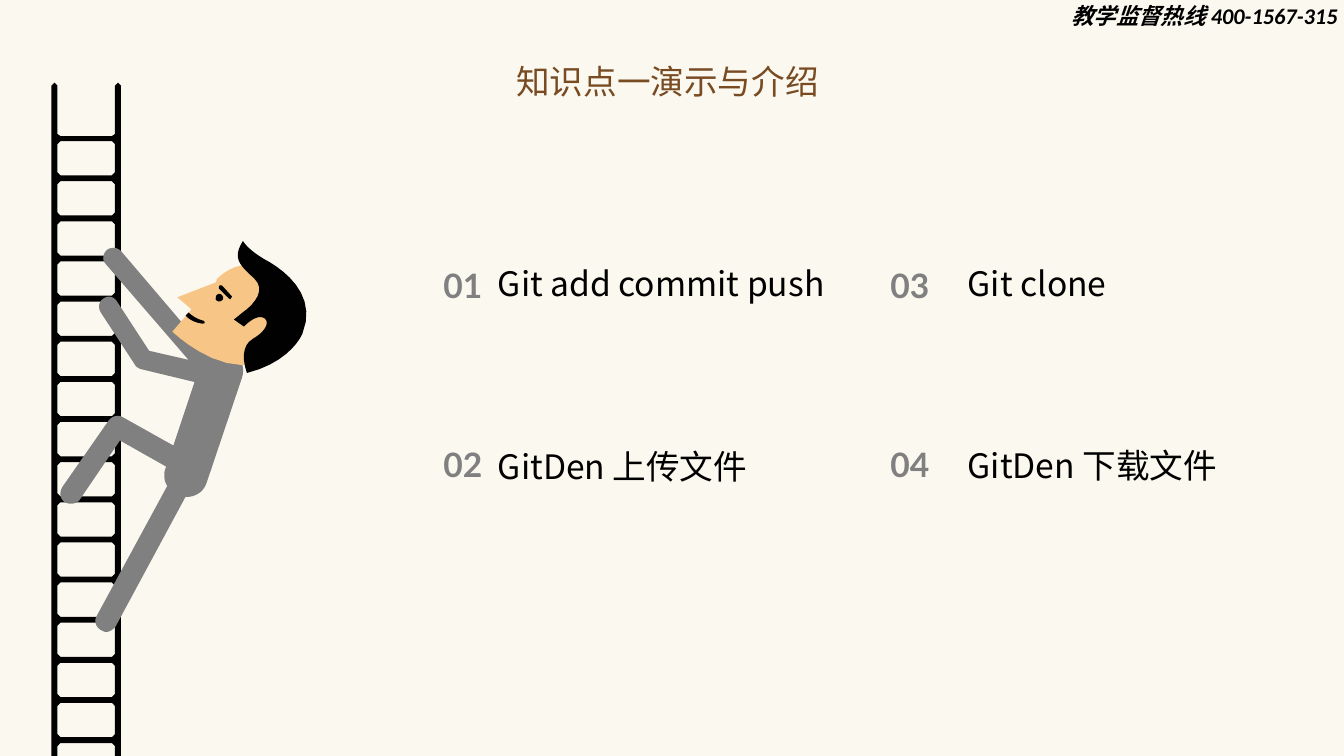
"""Build a slide listing four Git topics beside a man climbing a ladder."""
from lxml import etree
from pptx import Presentation
from pptx.dml.color import RGBColor
from pptx.enum.shapes import MSO_SHAPE
from pptx.enum.text import MSO_ANCHOR, PP_ALIGN
from pptx.oxml.ns import qn
from pptx.util import Inches, Pt

RECTANGLE = MSO_SHAPE.RECTANGLE
TOP, MIDDLE = MSO_ANCHOR.TOP, MSO_ANCHOR.MIDDLE
LEFT, CENTER = PP_ALIGN.LEFT, PP_ALIGN.CENTER

CREAM = RGBColor(0xF7, 0xF2, 0xDA)
BLACK = RGBColor(0x00, 0x00, 0x00)
INK = RGBColor(0x01, 0x01, 0x01)
GRAY = RGBColor(0x80, 0x80, 0x80)
SKIN = RGBColor(0xF7, 0xC5, 0x86)
BROWN = RGBColor(0x78, 0x4B, 0x23)
CJK_FONT = "Noto Sans CJK SC"

LADDER_CENTER = 0.855
LADDER_GAPS = 17
LADDER_HALF = [
    (0.6, 1.35), (0.57, 1.33), (0.57, 0.85), (0.54, 0.82), (0.51, 0.85),
    (0.51, 8.6), (0.49, 8.63), (0.23, 8.63), (0.2, 8.66), (0.23, 8.69),
    (0.54, 8.69), (0.57, 8.66), (0.57, 8.19), (0.6, 8.17),
]
BODY = [
    (2.26, 3.47), (2.19, 3.45, 2.12, 3.47, 2.06, 3.5), (1.2, 2.49),
    (1.16, 2.45, 1.1, 2.45, 1.06, 2.48), (1.02, 2.52, 1.01, 2.58, 1.05, 2.62),
    (1.87, 3.57), (1.48, 3.48), (1.16, 2.99),
    (1.13, 2.94, 1.07, 2.93, 1.03, 2.96), (0.98, 2.99, 0.97, 3.05, 1, 3.1),
    (1.34, 3.62), (1.35, 3.64, 1.37, 3.65, 1.39, 3.66), (1.93, 3.79),
    (1.72, 4.42), (1.22, 4.14), (1.17, 4.11, 1.11, 4.13, 1.08, 4.17),
    (0.62, 4.83), (0.59, 4.88, 0.59, 4.94, 0.64, 4.98),
    (0.69, 5.01, 0.76, 5, 0.79, 4.96), (1.19, 4.37), (1.65, 4.63),
    (1.64, 4.65), (1.62, 4.71, 1.63, 4.78, 1.66, 4.82), (0.96, 6.11),
    (0.93, 6.16, 0.95, 6.22, 1, 6.25), (1.02, 6.26, 1.04, 6.27, 1.05, 6.27),
    (1.09, 6.27, 1.13, 6.24, 1.15, 6.21), (1.84, 4.93), (1.85, 4.93),
    (1.94, 4.93, 2.02, 4.88, 2.05, 4.79), (2.4, 3.75),
    (2.44, 3.63, 2.38, 3.51, 2.26, 3.47),
]
FACE = [
    (2.12, 2.81), (2.13, 2.81), (2.14, 2.8, 2.15, 2.79, 2.15, 2.77),
    (2.32, 2.59, 2.61, 2.57, 2.79, 2.74), (3.02, 2.95, 3.03, 3.22, 2.86, 3.41),
    (2.38, 3.95, 1.71, 3.29, 1.71, 3.29), (1.9, 3.07), (1.76, 2.95),
]
HAIR = [
    (2.42, 3.09), (2.42, 3.09, 2.68, 2.91, 2.52, 2.76),
    (2.36, 2.62, 2.31, 2.55, 2.41, 2.39), (2.41, 2.39, 2.45, 2.47, 2.62, 2.57),
    (2.79, 2.66, 3.16, 2.91, 3, 3.31), (3, 3.31, 2.89, 3.59, 2.45, 3.7),
    (2.45, 3.7, 2.35, 3.45, 2.51, 3.36), (2.65, 3.28, 2.68, 3.18, 2.61, 3.15),
    (2.53, 3.12, 2.42, 3.24, 2.42, 3.24), (2.32, 3.17),
]
EYE = [
    (2.16, 2.92), (2.14, 2.93, 2.14, 2.95, 2.14, 2.97),
    (2.15, 2.99, 2.18, 3, 2.2, 2.98), (2.21, 2.98, 2.22, 2.95, 2.21, 2.94),
    (2.2, 2.92, 2.18, 2.91, 2.16, 2.92),
]
EYEBROW = [
    (2.18, 2.83), (2.17, 2.84, 2.17, 2.85, 2.17, 2.86), (2.27, 2.96),
    (2.28, 2.97, 2.29, 2.97, 2.29, 2.96), (2.3, 2.95, 2.3, 2.94, 2.3, 2.94),
    (2.2, 2.83), (2.19, 2.83, 2.18, 2.83, 2.18, 2.83),
]
MOUTH = [
    (2.03, 3.2), (2.03, 3.19, 2.02, 3.18, 2.01, 3.18),
    (1.94, 3.16, 1.89, 3.12, 1.87, 3.1), (1.84, 3.13), (1.85, 3.14),
    (1.88, 3.17, 1.93, 3.2, 2, 3.21), (2.02, 3.21, 2.03, 3.21, 2.03, 3.2),
]
TOPICS = [
    ("01", 4.04, 1.1, 2.79, "Git add commit push", 4.84, 3.71, 2.75),
    ("02", 4.04, 1.1, 4.57, "GitDen 上传文件", 4.84, 3.71, 4.57),
    ("03", 8.55, 0.95, 2.79, "Git clone", 9.5, 3.2, 2.75),
    ("04", 8.55, 0.95, 4.57, "GitDen 下载文件", 9.5, 3.2, 4.56),
]


def flatten(segments, steps=10):
    """Turn points and cubic curves into a list of points."""
    points = []
    for segment in segments:
        if len(segment) == 2:
            points.append(segment)
            continue
        start = points[-1]
        for step in range(1, steps + 1):
            t = step / steps
            u = 1 - t
            points.append(tuple(
                u**3 * start[axis] + 3 * u * u * t * segment[axis]
                + 3 * u * t * t * segment[axis + 2] + t**3 * segment[axis + 4]
                for axis in (0, 1)))
    return points


def paint(shape, color):
    """Give a shape a plain fill without line or shadow."""
    shape.shadow.inherit = False
    shape.fill.solid()
    shape.fill.fore_color.rgb = color
    shape.line.fill.background()


def add_outline(shapes, color, *contours):
    """Add one filled freeform made of closed contours."""
    builder = None
    for contour in contours:
        points = [(Inches(x), Inches(y)) for x, y in flatten(contour)]
        if builder is None:
            builder = shapes.build_freeform(*points[0])
        else:
            builder.move_to(*points[0])
        builder.add_line_segments(points[1:], close=True)
    paint(builder.convert_to_shape(), color)


def ladder_gap(top):
    """Return the rounded opening between two rungs."""
    left, right, bottom, radius = 0.57, 1.14, top + 0.34, 0.03
    return [
        (left + radius, top), (right - radius, top), (right, top + radius),
        (right, bottom - radius), (right - radius, bottom),
        (left + radius, bottom), (left, bottom - radius), (left, top + radius),
    ]


def add_climber(slide):
    """Draw the ladder and the climbing man as one group."""
    shapes = slide.shapes.add_group_shape().shapes
    mirrored = [(2 * LADDER_CENTER - x, y) for x, y in reversed(LADDER_HALF)]
    gap_pitch = (7.77 - 1.4) / (LADDER_GAPS - 1)
    gaps = [ladder_gap(1.4 + gap_pitch * index) for index in range(LADDER_GAPS)]
    add_outline(shapes, INK, LADDER_HALF + mirrored, *gaps)
    add_outline(shapes, GRAY, BODY)
    add_outline(shapes, SKIN, FACE)
    for feature in (HAIR, EYE, EYEBROW, MOUTH):
        add_outline(shapes, INK, feature)


def add_background(slide, presentation):
    """Cover the slide with a translucent cream rectangle."""
    shape = slide.shapes.add_shape(
        RECTANGLE, 0, 0, presentation.slide_width, presentation.slide_height)
    paint(shape, CREAM)
    color = shape._element.spPr.find(".//" + qn("a:srgbClr"))
    etree.SubElement(color, qn("a:alpha"), val="43000")


def add_text(slide, text, box, font_name, color, size=24, align=LEFT,
             spacing=None, bold=False, italic=False, anchor=TOP, insets=(0.1, 0.05)):
    """Add a wrapped one-paragraph text box."""
    shape = slide.shapes.add_textbox(*(Inches(length) for length in box))
    frame = shape.text_frame
    frame.word_wrap = True
    frame.vertical_anchor = anchor
    frame.margin_left = frame.margin_right = Inches(insets[0])
    frame.margin_top = frame.margin_bottom = Inches(insets[1])
    paragraph = frame.paragraphs[0]
    paragraph.text = text
    paragraph.alignment = align
    paragraph.line_spacing = spacing
    font = paragraph.font
    font.name, font.size, font.bold, font.italic = font_name, Pt(size), bold, italic
    font.color.rgb = color


def main():
    """Build and save the slide."""
    presentation = Presentation()
    presentation.slide_width = Inches(13.33)
    presentation.slide_height = Inches(7.5)
    slide = presentation.slides.add_slide(presentation.slide_layouts[6])
    add_background(slide, presentation)
    add_text(slide, "教学监督热线 400-1567-315", (10.53, 0, 2.88, 0.39), "Calibri",
             BLACK, size=16, spacing=0.9, bold=True, italic=True)
    add_climber(slide)
    add_text(slide, "知识点一演示与介绍", (4.42, 0.56, 4.4, 0.5), CJK_FONT, BROWN,
             align=CENTER)
    for number, left, width, top, label, label_left, label_width, label_top in TOPICS:
        add_text(slide, number, (left, top, width, 0.26), "Lato", GRAY, align=CENTER,
                 spacing=Pt(15), bold=True, anchor=MIDDLE, insets=(0.05, 0.03))
        add_text(slide, label, (label_left, label_top, label_width, 0.34), CJK_FONT,
                 BLACK, spacing=Pt(15))
    presentation.save("out.pptx")


if __name__ == "__main__":
    main()
